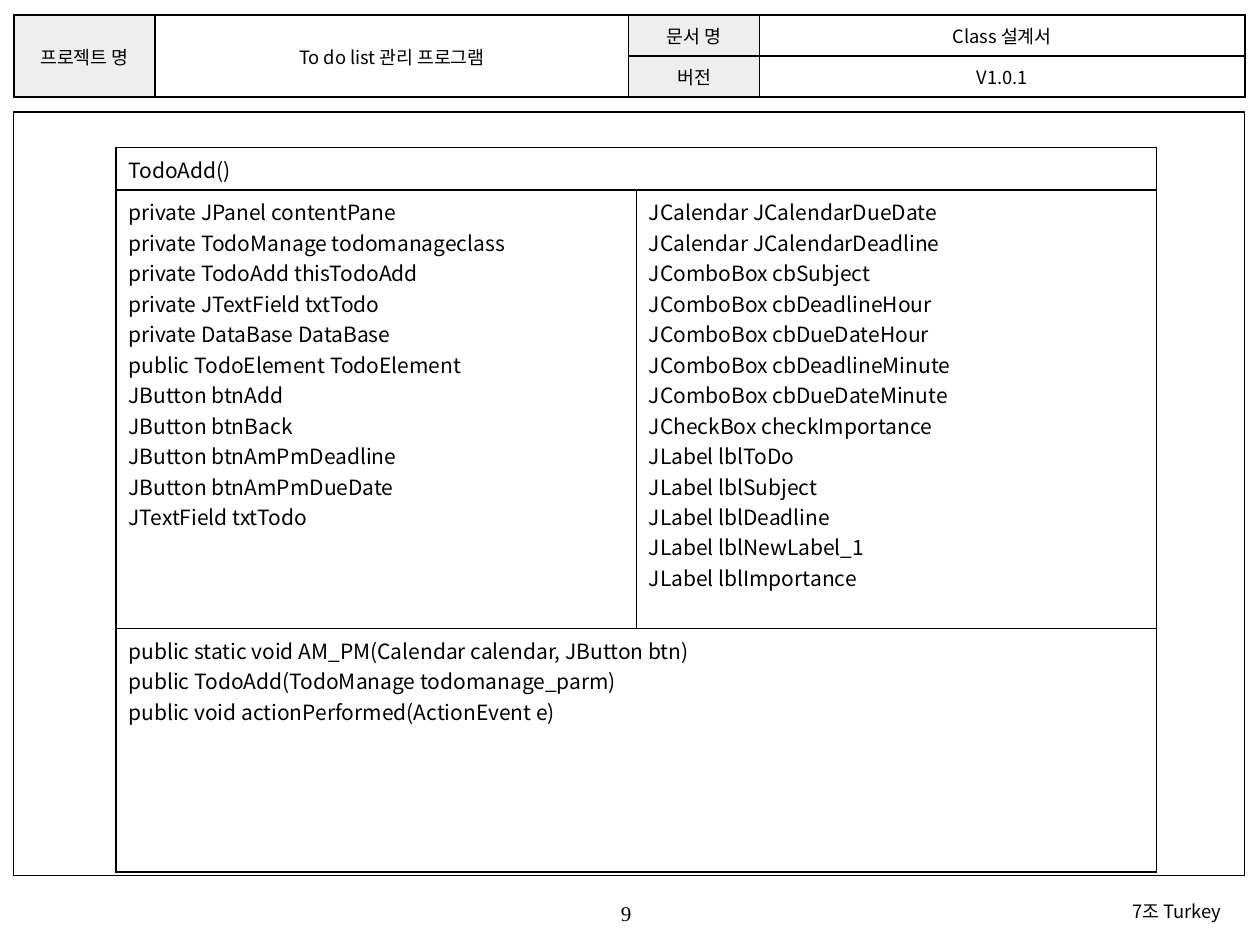
from lxml.etree import SubElement
from pptx import Presentation
from pptx.dml.color import RGBColor
from pptx.enum.shapes import MSO_SHAPE as Shape
from pptx.enum.text import MSO_ANCHOR as Anchor, PP_ALIGN as Align
from pptx.oxml.ns import qn
from pptx.util import Inches, Pt

COLOURS = {"ink": "000000", "label": "EEEEEE"}
FONT, NUMBER_FONT = "Noto Sans CJK KR", "Times New Roman"
COLUMNS, ROWS = 100, 75

PRIVATE_FIELDS = """private JPanel contentPane
private TodoManage todomanageclass
private TodoAdd thisTodoAdd
private JTextField txtTodo
private DataBase DataBase
public TodoElement TodoElement
JButton btnAdd
JButton btnBack
JButton btnAmPmDeadline
JButton btnAmPmDueDate
JTextField txtTodo"""

WIDGET_FIELDS = """JCalendar JCalendarDueDate
JCalendar JCalendarDeadline
JComboBox cbSubject
JComboBox cbDeadlineHour
JComboBox cbDueDateHour
JComboBox cbDeadlineMinute
JComboBox cbDueDateMinute
JCheckBox checkImportance
JLabel lblToDo
JLabel lblSubject
JLabel lblDeadline
JLabel lblNewLabel_1
JLabel lblImportance"""

METHODS = """public static void AM_PM(Calendar calendar, JButton btn)
public TodoAdd(TodoManage todomanage_parm)
public void actionPerformed(ActionEvent e)"""


class ClassPage:
    """Style and current slide; lengths are cells of a 100 by 75 grid."""

    def __init__(self, deck):
        self.page = deck.slides.add_slide(deck.slide_layouts[6])
        self.column = deck.slide_width / COLUMNS
        self.row = deck.slide_height / ROWS

    def place(self, left, top, width, height):
        return (round(left * self.column), round(top * self.row),
                round(width * self.column), round(height * self.row))

    def colour(self, name):
        return RGBColor.from_string(COLOURS[name])

    def fill_text(self, frame, text, size, align, font=FONT):
        frame.word_wrap = True
        for index, line in enumerate(text.split("\n")):
            para = frame.paragraphs[0] if index == 0 else frame.add_paragraph()
            para.alignment = align
            span = para.add_run()
            span.text = line
            span.font.size = Pt(size)
            span.font.name = font
            span.font.color.rgb = self.colour("ink")
            SubElement(span._r.get_or_add_rPr(), qn("a:ea"), typeface=font)

    def text(self, area, text, size, align, font=FONT):
        frame = self.page.shapes.add_textbox(*self.place(*area)).text_frame
        frame.margin_left = frame.margin_right = 0
        frame.margin_top = frame.margin_bottom = 0
        frame.vertical_anchor = Anchor.MIDDLE
        self.fill_text(frame, text, size, align, font)

    def frame(self, area):
        box = self.page.shapes.add_shape(Shape.RECTANGLE, *self.place(*area))
        box.shadow.inherit = False
        box.fill.background()
        box.line.color.rgb = self.colour("ink")
        box.line.width = Pt(0.75)

    def border(self, cell):
        properties = cell._tc.get_or_add_tcPr()
        for side in ("a:lnL", "a:lnR", "a:lnT", "a:lnB"):
            line = SubElement(properties, qn(side), w=str(int(Pt(1))))
            fill = SubElement(line, qn("a:solidFill"))
            SubElement(fill, qn("a:srgbClr"), val=COLOURS["ink"])

    def table(self, left, top, widths, heights, merges):
        """Add an empty bordered table; merges are (first, last) cell pairs."""
        area = self.place(left, top, sum(widths), sum(heights))
        table = self.page.shapes.add_table(len(heights), len(widths), *area).table
        table.first_row = table.horz_banding = False
        for column, width in zip(table.columns, widths):
            column.width = round(width * self.column)
        for row, height in zip(table.rows, heights):
            row.height = round(height * self.row)
        for cell in table.iter_cells():
            self.border(cell)
            cell.fill.background()
        for first, last in merges:
            table.cell(*first).merge(table.cell(*last))
        return table

    def heading_cell(self, cell, text, is_label):
        cell.margin_left = cell.margin_right = Inches(0.04)
        cell.margin_top = cell.margin_bottom = Inches(0.02)
        cell.vertical_anchor = Anchor.MIDDLE
        if is_label:
            cell.fill.solid()
            cell.fill.fore_color.rgb = self.colour("label")
        self.fill_text(cell.text_frame, text, 10.5, Align.CENTER)


def main():
    deck = Presentation()
    deck.slide_width, deck.slide_height = Inches(10), Inches(7.5)
    sheet = ClassPage(deck)

    sheet.text((39.3, 70.8, 20.8, 3.3), "9", 12, Align.CENTER, NUMBER_FONT)
    heading = sheet.table(1.1, 1.2, (11.2, 37.6, 10.4, 38.5), (3.25, 3.25),
                          [((0, 0), (1, 0)), ((0, 1), (1, 1))])
    for row, column, text in ((0, 0, "프로젝트 명"), (0, 1, "To do list 관리 프로그램"),
                              (0, 2, "문서 명"), (0, 3, "Class 설계서"),
                              (1, 2, "버전"), (1, 3, "V1.0.1")):
        sheet.heading_cell(heading.cell(row, column), text, column % 2 == 0)

    sheet.frame((1.1, 8.9, 97.7, 60.6))
    sheet.text((66.3, 70.7, 30.6, 3.3), "7조 Turkey", 10.5, Align.RIGHT)

    diagram = sheet.table(9.2, 11.7, (41.3, 41.3), (3.4, 34.8, 19.3),
                          [((0, 0), (0, 1)), ((2, 0), (2, 1))])
    for row, column, text in ((0, 0, "TodoAdd()"), (1, 0, PRIVATE_FIELDS),
                              (1, 1, WIDGET_FIELDS), (2, 0, METHODS)):
        sheet.fill_text(diagram.cell(row, column).text_frame, text, 12, Align.LEFT)

    deck.save("out.pptx")


if __name__ == "__main__":
    main()
